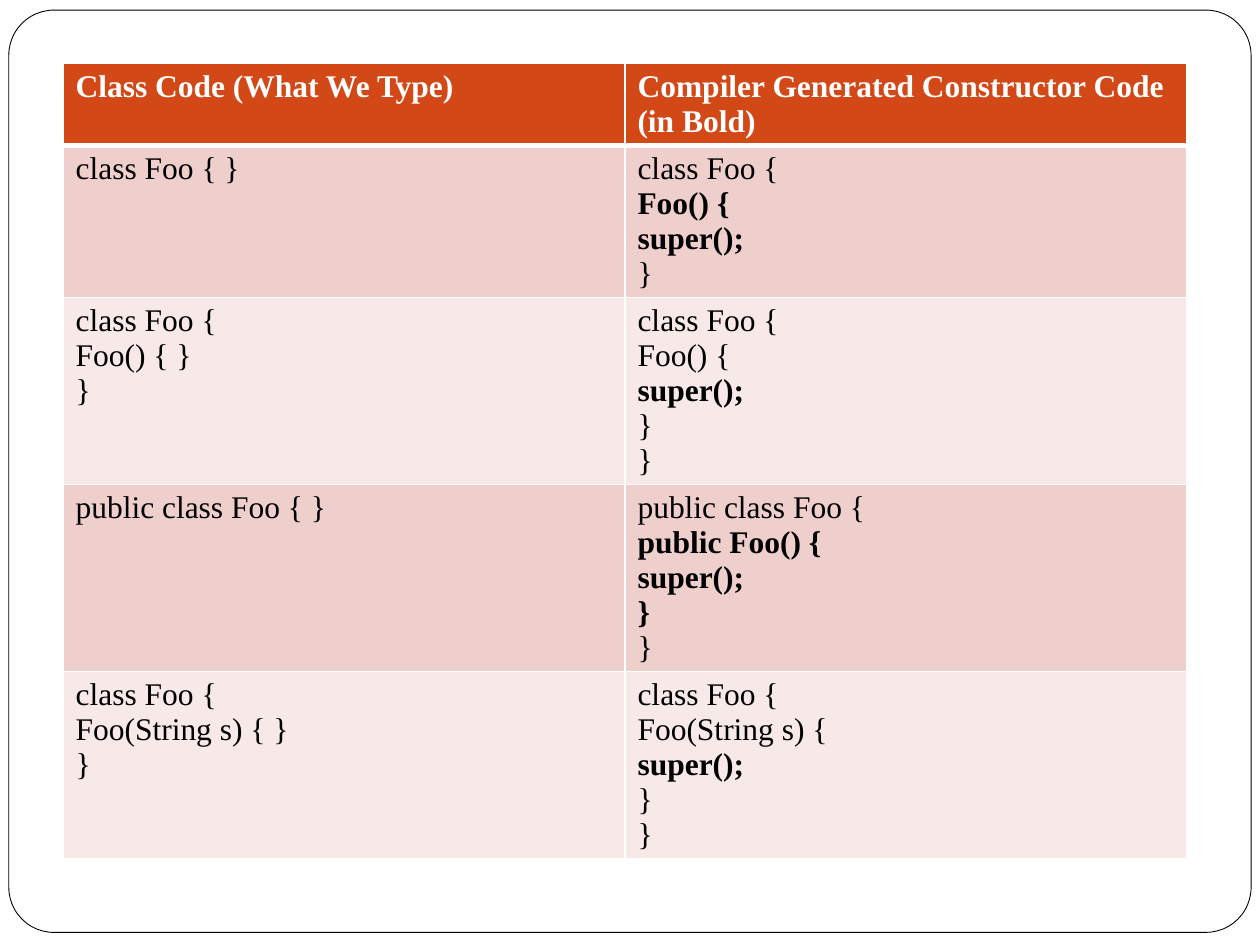
from lxml.etree import SubElement
from pptx import Presentation
from pptx.dml.color import RGBColor
from pptx.enum.shapes import MSO_SHAPE
from pptx.oxml.ns import qn
from pptx.util import Inches, Pt

FONT = "Times New Roman"
HEADER_FILL = "D34817"
BAND_FILLS = ["EFCFCC", "F7E9E8"]
HEADINGS = ["Class Code (What We Type)",
            "Compiler Generated Constructor Code (in Bold)"]
# Typed lines, generated lines, indices of the generated lines in bold
EXAMPLES = [
    (["class Foo { }"],
     ["class Foo {", "Foo() {", "super();", "}"], [1, 2]),
    (["class Foo {", "Foo() { }", "}"],
     ["class Foo {", "Foo() {", "super();", "}", "}"], [2]),
    (["public class Foo { }"],
     ["public class Foo {", "public Foo() {", "super();", "}", "}"], [1, 2, 3]),
    (["class Foo {", "Foo(String s) { }", "}"],
     ["class Foo {", "Foo(String s) {", "super();", "}", "}"], [2]),
]
ROW_HEIGHTS = [0.45, 1.1, 1.36, 1.36, 1.36]


def color(value):
    return RGBColor.from_string(value)


def add_text(para, text, size=18, ink="000000", bold=False):
    span = para.add_run()
    span.text = text
    span.font.name = FONT
    span.font.size = Pt(size)
    span.font.bold = bold
    span.font.color.rgb = color(ink)


def set_borders(cell, bottom=1):
    """Draw white rules around a cell; they must precede its fill."""
    properties = cell._tc.get_or_add_tcPr()
    for side, width in (("L", 1), ("R", 1), ("T", 1), ("B", bottom)):
        line = SubElement(properties, qn(f"a:ln{side}"), w=str(Pt(width)))
        fill = SubElement(line, qn("a:solidFill"))
        SubElement(fill, qn("a:srgbClr"), val="FFFFFF")


def fill_cell(cell, lines, fill, bold_lines=(), ink="000000", bottom=1):
    set_borders(cell, bottom)
    cell.fill.solid()
    cell.fill.fore_color.rgb = color(fill)
    frame = cell.text_frame
    for index, line in enumerate(lines):
        para = frame.add_paragraph() if index else frame.paragraphs[0]
        add_text(para, line, ink=ink, bold=index in bold_lines)


def add_page_frame(page, left, top, width, height):
    box = page.shapes.add_shape(MSO_SHAPE.ROUNDED_RECTANGLE,
                                left, top, width, height)
    box.adjustments[0] = 0.049
    box.shadow.inherit = False
    box.fill.solid()
    box.fill.fore_color.rgb = color("FFFFFF")
    box.line.color.rgb = color("000000")
    box.line.width = Pt(0.5)


def add_constructor_table(page, left, top, width, height):
    frame = page.shapes.add_table(len(ROW_HEIGHTS), len(HEADINGS),
                                  left, top, width, height)
    table = frame.table
    for row, row_height in zip(table.rows, ROW_HEIGHTS):
        row.height = Inches(row_height)
    frame.height = height

    # Header row
    for column, heading in enumerate(HEADINGS):
        fill_cell(table.cell(0, column), [heading], HEADER_FILL,
                  bold_lines=[0], ink="FFFFFF", bottom=3)

    # Banded example rows
    for row, (typed, generated, bold_lines) in enumerate(EXAMPLES, start=1):
        fill = BAND_FILLS[(row - 1) % 2]
        fill_cell(table.cell(row, 0), typed, fill)
        fill_cell(table.cell(row, 1), generated, fill, bold_lines)


def main():
    deck = Presentation()
    deck.slide_width, deck.slide_height = Inches(10), Inches(7.5)
    page = deck.slides.add_slide(deck.slide_layouts[6])
    add_page_frame(page, Inches(0.07), Inches(0.08), Inches(9.86), Inches(7.32))
    add_constructor_table(page, Inches(0.5), Inches(0.5),
                          Inches(8.92), Inches(6.8))
    deck.save("out.pptx")


if __name__ == "__main__":
    main()
